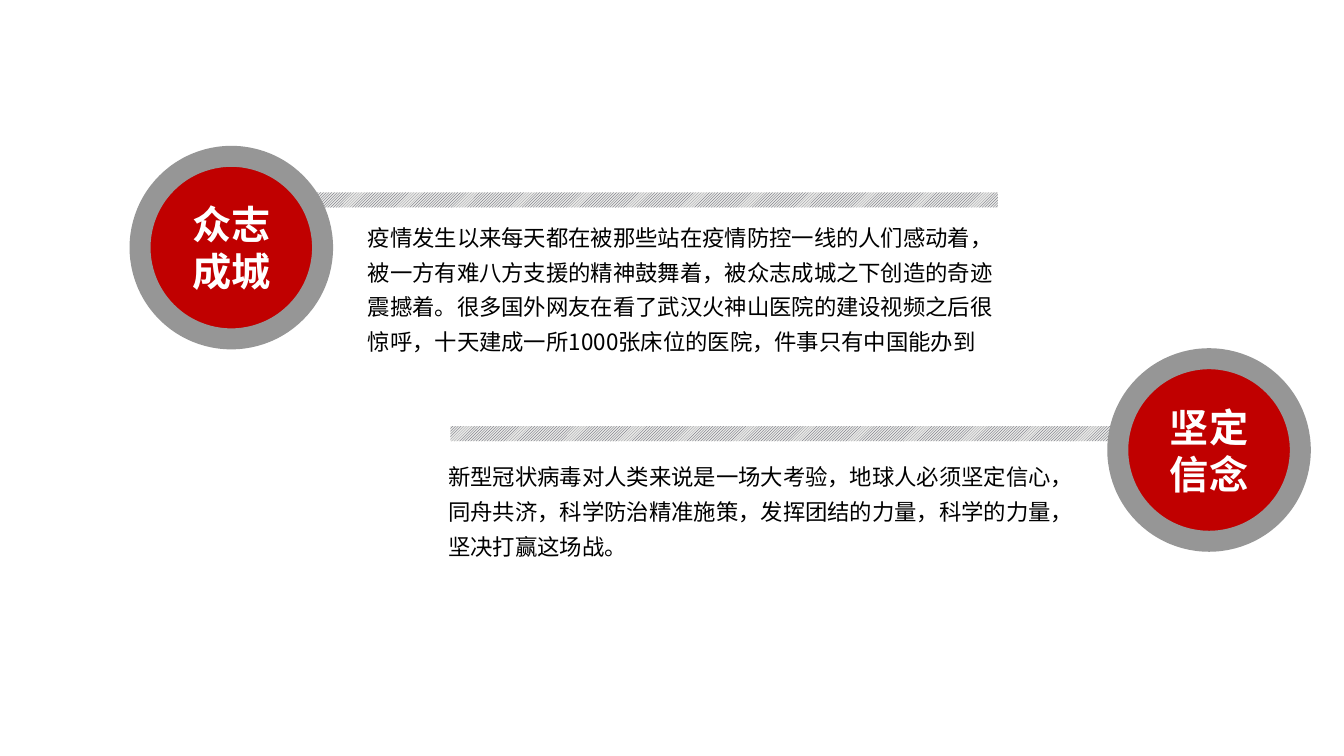
import pptx
import pptx.dml.color
import pptx.enum.dml
import pptx.enum.shapes
import pptx.enum.text
import pptx.oxml.ns
import pptx.util
from lxml import etree

Cm, Pt = pptx.util.Cm, pptx.util.Pt
RGBColor = pptx.dml.color.RGBColor
MSO_SHAPE = pptx.enum.shapes.MSO_SHAPE
PP_ALIGN = pptx.enum.text.PP_ALIGN
MSO_ANCHOR = pptx.enum.text.MSO_ANCHOR
MSO_AUTO_SIZE = pptx.enum.text.MSO_AUTO_SIZE

RED = RGBColor(0xC0, 0x00, 0x00)
GREY = RGBColor(0x96, 0x96, 0x96)
HATCH = RGBColor(0x41, 0x44, 0x55)
HATCH_BACK = RGBColor(0xE8, 0xE8, 0xE6)
WHITE = RGBColor(0xFF, 0xFF, 0xFF)
BLACK = RGBColor(0x00, 0x00, 0x00)
FONT = "Noto Sans CJK SC"

# Positions are (left, top) in centimetres
SECTIONS = [
    {
        "heading": "众志成城",
        "body": "疫情发生以来每天都在被那些站在疫情防控一线的人们感动着，"
                "被一方有难八方支援的精神鼓舞着，被众志成城之下创造的奇迹震撼着。"
                "很多国外网友在看了武汉火神山医院的建设视频之后很惊呼，"
                "十天建成一所1000张床位的医院，件事只有中国能办到",
        "badge": (3.53, 3.94), "bar": (7.75, 4.85), "text": (9.02, 5.31),
        "text_height": 3.73,
    },
    {
        "heading": "坚定信念",
        "body": "新型冠状病毒对人类来说是一场大考验，地球人必须坚定信心，"
                "同舟共济，科学防治精准施策，发挥团结的力量，科学的力量，"
                "坚决打赢这场战。",
        "badge": (28.17, 9.04), "bar": (11.35, 10.74), "text": (11.05, 11.35),
        "text_height": 2.84,
    },
]
BADGE_SIZE = 4.6
BAR_WIDTH, BAR_HEIGHT = 17.4, 0.38
TEXT_WIDTH = 16.41


def box(position, width, height):
    return [Cm(v) for v in (*position, width, height)]


def add_run(p, text, size, color, bold=False):
    r = p.add_run()
    r.text = text
    r.font.size, r.font.bold = Pt(size), bold
    r.font.color.rgb = color
    r.font.name = FONT
    ea = etree.SubElement(r._r.get_or_add_rPr(), pptx.oxml.ns.qn("a:ea"))
    ea.set("typeface", FONT)


def add_bar(slide, section):
    sp = slide.shapes.add_shape(MSO_SHAPE.RECTANGLE,
                                *box(section["bar"], BAR_WIDTH, BAR_HEIGHT))
    sp.shadow.inherit = False
    sp.fill.patterned()
    sp.fill.pattern = pptx.enum.dml.MSO_PATTERN.LIGHT_UPWARD_DIAGONAL
    sp.fill.fore_color.rgb = HATCH
    sp.fill.back_color.rgb = HATCH_BACK
    sp.line.fill.background()


def add_badge(slide, section):
    sp = slide.shapes.add_shape(MSO_SHAPE.OVAL,
                                *box(section["badge"], BADGE_SIZE, BADGE_SIZE))
    sp.shadow.inherit = False
    sp.fill.solid()
    sp.fill.fore_color.rgb = RED
    sp.line.color.rgb = GREY
    sp.line.width = Pt(15)
    tf = sp.text_frame
    tf.word_wrap = True
    tf.vertical_anchor = MSO_ANCHOR.MIDDLE
    p = tf.paragraphs[0]
    p.alignment = PP_ALIGN.CENTER
    add_run(p, section["heading"], 28, WHITE, bold=True)


def add_body(slide, section):
    sp = slide.shapes.add_textbox(
        *box(section["text"], TEXT_WIDTH, section["text_height"]))
    tf = sp.text_frame
    tf.word_wrap = True
    tf.auto_size = MSO_AUTO_SIZE.SHAPE_TO_FIT_TEXT
    p = tf.paragraphs[0]
    p.line_spacing = 1.3
    add_run(p, section["body"], 16, BLACK)


def main():
    prs = pptx.Presentation()
    prs.slide_width, prs.slide_height = Cm(33.87), Cm(19.05)
    slide = prs.slides.add_slide(prs.slide_layouts[6])
    for section in SECTIONS:
        add_bar(slide, section)
        add_badge(slide, section)
        add_body(slide, section)
    prs.save("out.pptx")


if __name__ == "__main__":
    main()
